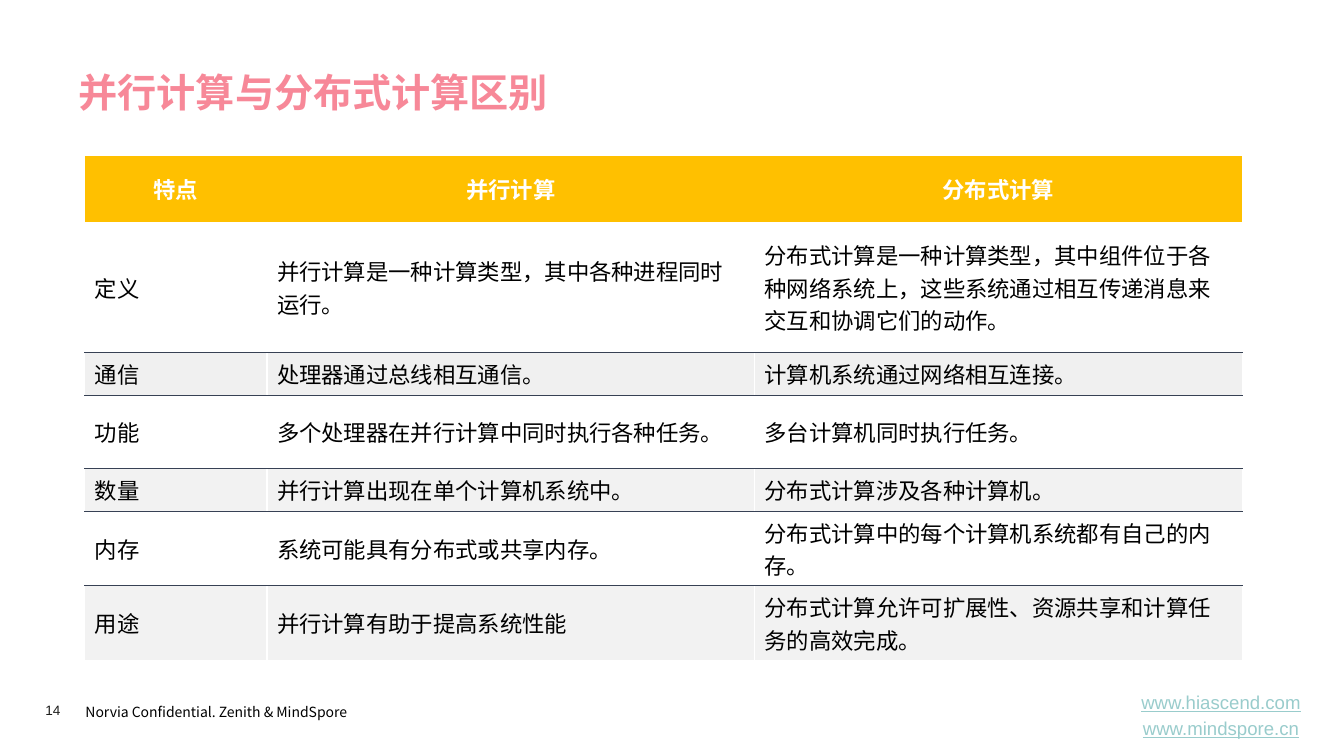
from dataclasses import dataclass

from lxml.etree import SubElement
from pptx import Presentation
from pptx.dml.color import RGBColor
from pptx.enum.text import MSO_ANCHOR, MSO_AUTO_SIZE, PP_ALIGN
from pptx.oxml.ns import qn
from pptx.util import Inches, Pt


@dataclass(frozen=True)
class Theme:
    sans: str = "Arial"
    cjk: str = "Noto Sans CJK SC"
    title: str = "F78898"
    header: str = "FFC000"
    rule: str = "374154"
    white: str = "FFFFFF"
    black: str = "000000"
    number: str = "1D1D1B"
    link: str = "99CCCC"
    title_size: float = 28
    table_size: float = 16
    link_size: float = 13.3
    footer_size: float = 10
    number_size: float = 9.7


THEME = Theme()
COLUMN_WIDTHS = (1.81, 4.84, 4.84)
# Row height, fill and cell texts
ROWS = (
    (0.65, THEME.header, ("特点", "并行计算", "分布式计算")),
    (1.3, None, ("定义", "并行计算是一种计算类型，其中各种进程同时运行。",
                 "分布式计算是一种计算类型，其中组件位于各种网络系统上，"
                 "这些系统通过相互传递消息来交互和协调它们的动作。")),
    (0.41, "F0F0F0", ("通信", "处理器通过总线相互通信。", "计算机系统通过网络相互连接。")),
    (0.73, None, ("功能", "多个处理器在并行计算中同时执行各种任务。", "多台计算机同时执行任务。")),
    (0.41, "F2F2F2", ("数量", "并行计算出现在单个计算机系统中。", "分布式计算涉及各种计算机。")),
    (0.73, None, ("内存", "系统可能具有分布式或共享内存。",
                  "分布式计算中的每个计算机系统都有自己的内存。")),
    (0.73, "F2F2F2", ("用途", "并行计算有助于提高系统性能",
                      "分布式计算允许可扩展性、资源共享和计算任务的高效完成。")),
)


def write(tf, *lines, size, color, font=THEME.sans, bold=False, underline=False,
          align=PP_ALIGN.LEFT, spacing=None, gap=0):
    """Fill a text frame, one paragraph a line, with gap points between them."""
    for i, line in enumerate(lines):
        p = tf.add_paragraph() if i else tf.paragraphs[0]
        p.alignment = align
        p.line_spacing = spacing
        p.space_before = Pt(gap if i else 0)
        r = p.add_run()
        r.text = line
        r.font.size = Pt(size)
        r.font.name = font
        r.font.bold = bold
        r.font.underline = underline
        r.font.color.rgb = RGBColor.from_string(color)
        SubElement(r.font._element, qn("a:ea"), typeface=THEME.cjk)


def add_text(s, box, *lines, inset=0, anchor=MSO_ANCHOR.TOP, **style):
    tf = s.shapes.add_textbox(*map(Inches, box)).text_frame
    tf.word_wrap = True
    tf.vertical_anchor = anchor
    tf.margin_left = tf.margin_right = Inches(inset)
    tf.margin_top = tf.margin_bottom = Inches(inset / 2)
    write(tf, *lines, **style)


def add_title(s, text):
    title = s.shapes.title
    title.left, title.top = Inches(0.68), Inches(0.68)
    title.width, title.height = Inches(11.99), Inches(0.64)
    tf = title.text_frame
    tf.auto_size = MSO_AUTO_SIZE.NONE
    tf.vertical_anchor = MSO_ANCHOR.TOP
    write(tf, text, size=THEME.title_size, color=THEME.title, font=THEME.cjk,
          bold=True, spacing=0.9)


def set_borders(cell, **colors):
    """Draw 1 pt borders on the sides L, R, T, B; a side left out has none."""
    tc_pr = cell._tc.get_or_add_tcPr()
    for i, side in enumerate("LRTB"):
        ln = SubElement(tc_pr, qn(f"a:ln{side}"), w=str(Pt(1)))
        tc_pr.insert(i, ln)
        if side in colors:
            fill = SubElement(ln, qn("a:solidFill"))
            SubElement(fill, qn("a:srgbClr"), val=colors[side])
        else:
            SubElement(ln, qn("a:noFill"))


def row_borders(row):
    if row == 0:
        return {}
    borders = {"L": THEME.white, "R": THEME.white,
               "B": THEME.white if row == len(ROWS) - 1 else THEME.rule}
    if row > 1:
        borders["T"] = THEME.rule
    return borders


def add_comparison(s):
    table = s.shapes.add_table(
        len(ROWS), len(COLUMN_WIDTHS), Inches(0.84), Inches(1.55),
        Inches(sum(COLUMN_WIDTHS)), Inches(sum(h for h, _, _ in ROWS))).table
    table.horz_banding = False
    for column, width in zip(table.columns, COLUMN_WIDTHS):
        column.width = Inches(width)
    for i, (height, fill, texts) in enumerate(ROWS):
        table.rows[i].height = Inches(height)
        header = i == 0
        for cell, text in zip(table.rows[i].cells, texts):
            cell.vertical_anchor = MSO_ANCHOR.MIDDLE
            if fill:
                cell.fill.solid()
                cell.fill.fore_color.rgb = RGBColor.from_string(fill)
            else:
                cell.fill.background()
            set_borders(cell, **row_borders(i))
            write(cell.text_frame, text, size=THEME.table_size, bold=header,
                  color=THEME.white if header else THEME.black,
                  align=PP_ALIGN.CENTER if header else PP_ALIGN.LEFT)


def add_footer(s):
    add_text(s, (0.75, 6.9, 3.13, 0.29), "Norvia Confidential. Zenith & MindSpore",
             inset=0.1, size=THEME.footer_size, color=THEME.black, font=THEME.cjk,
             spacing=1.2)
    add_text(s, (0.45, 6.96, 0.55, 0.16), "14",
             size=THEME.number_size, color=THEME.number)
    add_text(s, (11.04, 6.88, 2.16, 0.43), "www.hiascend.com", "www.mindspore.cn",
             anchor=MSO_ANCHOR.MIDDLE, size=THEME.link_size, color=THEME.link,
             underline=True, align=PP_ALIGN.CENTER, gap=3)


def main():
    prs = Presentation()
    prs.slide_width, prs.slide_height = Inches(13.34), Inches(7.5)
    s = prs.slides.add_slide(prs.slide_layouts.get_by_name("Title Only"))
    add_title(s, "并行计算与分布式计算区别")
    add_comparison(s)
    add_footer(s)
    prs.save("out.pptx")


if __name__ == "__main__":
    main()
